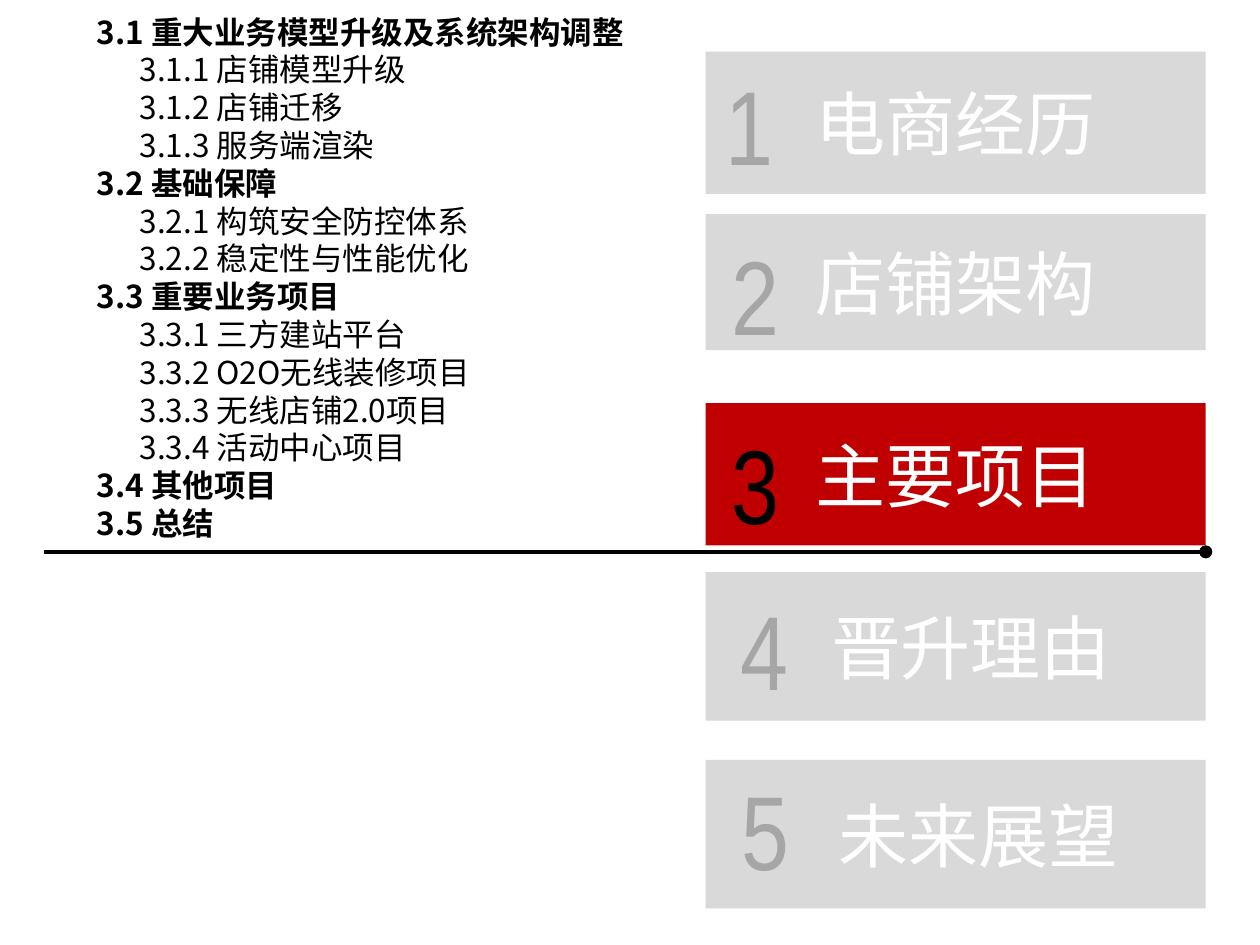
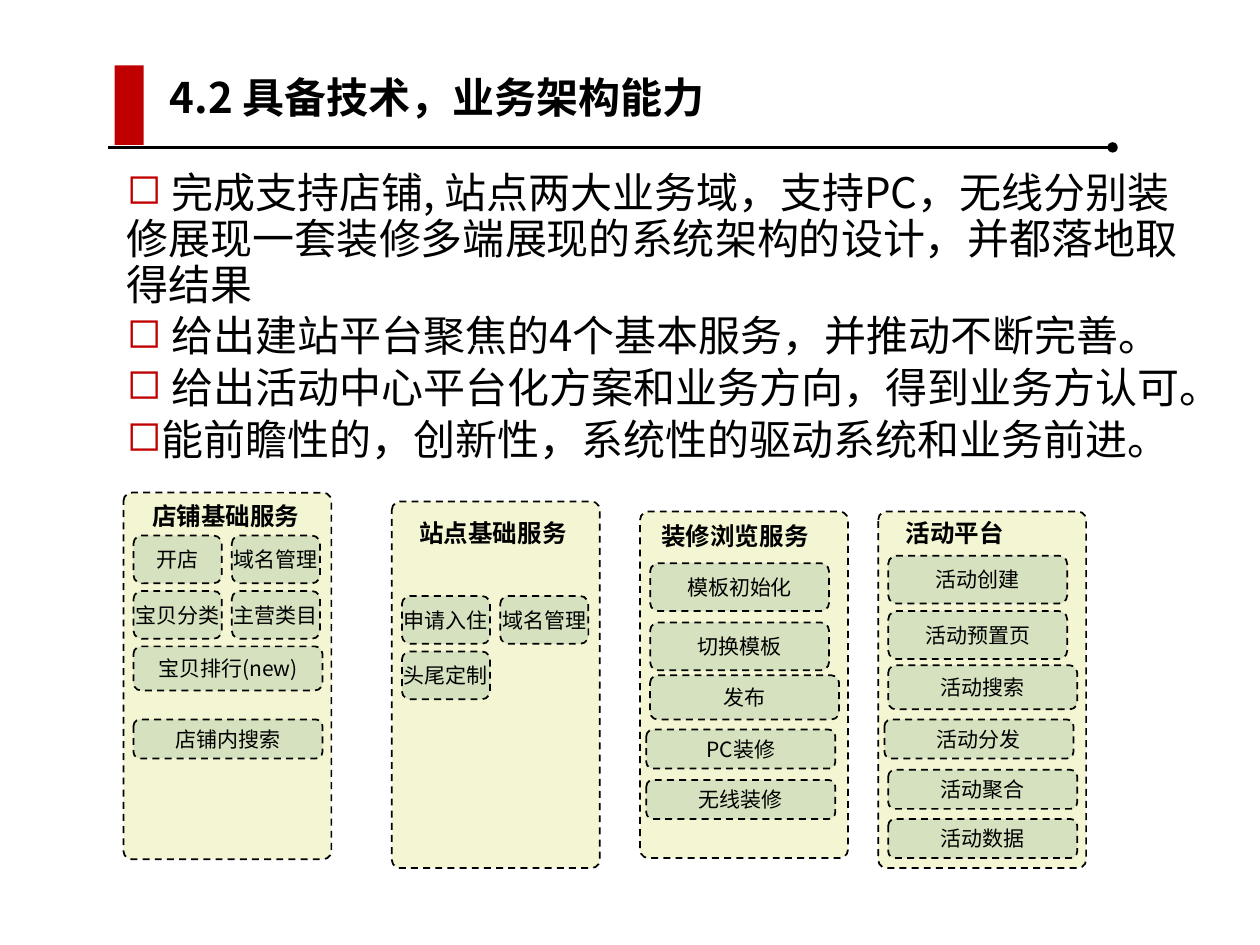
from dataclasses import dataclass

from lxml import etree
from pptx import Presentation
from pptx.dml.color import RGBColor
from pptx.enum.dml import MSO_LINE
from pptx.enum.shapes import MSO_CONNECTOR, MSO_SHAPE
from pptx.enum.text import MSO_ANCHOR, PP_ALIGN
from pptx.oxml.ns import qn
from pptx.util import Inches, Pt

RECT, ROUNDED = MSO_SHAPE.RECTANGLE, MSO_SHAPE.ROUNDED_RECTANGLE
STRAIGHT, DASH = MSO_CONNECTOR.STRAIGHT, MSO_LINE.DASH
TOP, MIDDLE = MSO_ANCHOR.TOP, MSO_ANCHOR.MIDDLE
LEFT, CENTER = PP_ALIGN.LEFT, PP_ALIGN.CENTER

BLACK = RGBColor(0x00, 0x00, 0x00)
WHITE = RGBColor(0xFF, 0xFF, 0xFF)
RED = RGBColor(0xC0, 0x00, 0x00)
PALE_GREY = RGBColor(0xD9, 0xD9, 0xD9)
MID_GREY = RGBColor(0xA6, 0xA6, 0xA6)
CREAM = RGBColor(0xF4, 0xF5, 0xD2)
SAGE = RGBColor(0xD6, 0xE1, 0xBF)

CJK, CARD_FONT, NUMBER_FONT = "Noto Sans CJK SC", "Calibri", "Arial Narrow"
SLIDE_W, SLIDE_H = Inches(10), Inches(7.5)
COLUMN, ROW = SLIDE_W / 100, SLIDE_H / 75
LINE_RATIO = 1.2


@dataclass
class Box:
    """A region measured in grid columns and rows."""
    x: float
    y: float
    w: float
    h: float

    def within(self, dx, dy, w, h):
        """Return a box placed relative to this one."""
        return Box(self.x + dx, self.y + dy, w, h)

    def emu(self):
        """Return left, top, width and height in slide units."""
        return (int(self.x * COLUMN), int(self.y * ROW),
                int(self.w * COLUMN), int(self.h * ROW))


def style(paragraph, size, color, font=CJK, bold=False, align=LEFT):
    """Set the type of one paragraph."""
    paragraph.alignment = align
    face = paragraph.font
    face.name, face.size, face.bold = font, Pt(size), bold
    face.color.rgb = color
    if font == CJK:
        paragraph.line_spacing = Pt(size * LINE_RATIO)
        latin = paragraph._p.pPr.find(qn("a:defRPr")).find(qn("a:latin"))
        east_asian = etree.Element(qn("a:ea"), typeface=font)
        latin.addnext(east_asian)


def add_text(slide, box, lines, anchor=TOP):
    """Add a wrapping text box and return its paragraphs."""
    frame = slide.shapes.add_textbox(*box.emu()).text_frame
    frame.word_wrap, frame.vertical_anchor = True, anchor
    frame.text = "\n".join(lines)
    return frame.paragraphs


def add_block(slide, box, fill, kind=RECT):
    """Add a filled shape without outline or shadow."""
    block = slide.shapes.add_shape(kind, *box.emu())
    block.shadow.inherit = False
    block.fill.solid()
    block.fill.fore_color.rgb = fill
    block.line.fill.background()
    return block


def add_dashed(slide, box, fill, corner):
    """Add a rounded block with a dashed outline."""
    block = add_block(slide, box, fill, ROUNDED)
    block.adjustments[0] = corner
    block.line.color.rgb, block.line.width = BLACK, Pt(1)
    block.line.dash_style = DASH
    return block


def add_rule(slide, box, weight):
    """Draw a black rule along the top of a box, ending in a dot."""
    x, y, w, _ = box.emu()
    rule = slide.shapes.add_connector(STRAIGHT, x, y, x + w, y)
    rule.line.color.rgb, rule.line.width = BLACK, Pt(weight)
    etree.SubElement(rule.line._get_or_add_ln(), qn("a:tailEnd"), type="oval")
    etree.SubElement(rule._element.spPr, qn("a:effectLst"))


def outline(slide, box, sections):
    """List bold sections with their indented topics."""
    rows = [(text, depth) for heading, topics in sections
            for text, depth in [(heading, 0)] + [(t, 1) for t in topics]]
    paragraphs = add_text(slide, box, [text for text, _ in rows])
    for paragraph, (_, depth) in zip(paragraphs, rows):
        style(paragraph, 18, BLACK, bold=depth == 0)
        paragraph._p.pPr.set("marL", str(int(depth * 3.4 * COLUMN)))


def chapter_card(slide, box, number, label, digit_at, shift, active):
    """Show one numbered chapter, in red when it is the active one."""
    card = add_block(slide, box, RED if active else PALE_GREY)
    frame = card.text_frame
    frame.vertical_anchor, frame.text = MIDDLE, label
    frame.margin_left = int((1 + 2 * shift) * COLUMN)
    style(frame.paragraphs[0], 40, WHITE, CARD_FONT, align=CENTER)
    digit = add_text(slide, box.within(*digit_at, 6.8, 11.1), [str(number)])
    style(digit[0], 60, BLACK if active else MID_GREY, NUMBER_FONT)


def title_band(slide, box, title):
    """Place the red marker, the title and the rule below them."""
    add_rule(slide, box.within(0, 6.5, 79.7, 0), 1.75)
    add_block(slide, box.within(0.5, 0, 2.3, 6.3), RED)
    style(add_text(slide, box.within(3.9, 0, 80, 5), [title])[0], 24, BLACK, bold=True)


def bullet_list(slide, box, points):
    """List points behind hollow red squares."""
    for paragraph in add_text(slide, box, points):
        props = paragraph._p.get_or_add_pPr()
        props.set("marL", "0")
        props.set("indent", str(int(-2.9 * COLUMN)))
        tint = etree.SubElement(props, qn("a:buClr"))
        etree.SubElement(tint, qn("a:srgbClr"), val=str(RED))
        etree.SubElement(props, qn("a:buChar"), char="◻")
        style(paragraph, 24, BLACK)
        paragraph.line_spacing = Pt(24 * LINE_RATIO * 0.91)
        paragraph.space_after = Pt(3.3)


def service_panel(slide, box, heading, heading_at, tiles):
    """Show a service group with its heading and tiles."""
    add_dashed(slide, box, CREAM, 0.04)
    title = add_text(slide, box.within(*heading_at, 15.5, 3.4), [heading], MIDDLE)
    style(title[0], 14, BLACK, bold=True)
    for label, dx, dy, size in tiles:
        frame = add_dashed(slide, box.within(dx, dy, *size), SAGE, 0.17).text_frame
        frame.word_wrap, frame.vertical_anchor = False, MIDDLE
        frame.text = label
        style(frame.paragraphs[0], 12, BLACK, align=CENTER)


def agenda_slide(slide):
    """Build the agenda with the third chapter opened."""
    outline(slide, Box(6.7, 0.5, 47.2, 48.8), SECTIONS)
    for number, (label, y, h, digit_at, shift) in enumerate(CHAPTERS, 1):
        chapter_card(slide, Box(56, y, 39.7, h), number, label,
                     digit_at, shift, number == 3)
    add_rule(slide, Box(3.5, 43.8, 92.2, 0), 2.5)


def ability_slide(slide):
    """Build the slide on technical and business architecture."""
    title_band(slide, Box(8.6, 5.2, 84, 6.5), "4.2 具备技术，业务架构能力")
    bullet_list(slide, Box(9.1, 13.1, 86.6, 24.6), POINTS)
    for heading, x, y, h, heading_at, tiles in SERVICES:
        service_panel(slide, Box(x, y, 16.5, h), heading, heading_at, tiles)


SECTIONS = [
    ("3.1 重大业务模型升级及系统架构调整",
     ["3.1.1 店铺模型升级", "3.1.2 店铺迁移", "3.1.3 服务端渲染"]),
    ("3.2 基础保障", ["3.2.1 构筑安全防控体系", "3.2.2 稳定性与性能优化"]),
    ("3.3 重要业务项目",
     ["3.3.1 三方建站平台", "3.3.2 O2O无线装修项目",
      "3.3.3 无线店铺2.0项目", "3.3.4 活动中心项目"]),
    ("3.4 其他项目", []),
    ("3.5 总结", []),
]

CHAPTERS = [
    ("电商经历", 4.1, 11.3, (0.6, 0.2), 0),
    ("店铺架构", 17, 10.8, (1.1, 0.8), 0),
    ("主要项目", 32, 11.3, (1.1, 0.8), 0),
    ("晋升理由", 45.4, 11.8, (1.8, 0.6), 1.2),
    ("未来展望", 60.3, 11.8, (1.9, 0), 1.8),
]

POINTS = [
    " 完成支持店铺, 站点两大业务域，支持PC，无线分别装修展现一套装修多端展现的系统架构的设计，并都落地取得结果",
    " 给出建站平台聚焦的4个基本服务，并推动不断完善。",
    " 给出活动中心平台化方案和业务方向，得到业务方认可。",
    "能前瞻性的，创新性，系统性的驱动系统和业务前进。",
]

SMALL, WIDE, BAR, SLIM = (7, 3.8), (14.2, 3.8), (15, 3.5), (15, 3.1)
NEAR, INNER, SECOND = 0.5, 0.8, 8.6

SERVICES = [
    ("店铺基础服务", 9.8, 39.1, 29.1, (1.3, 0.1), [
        ("开店", INNER, 3.4, SMALL), ("域名管理", SECOND, 3.4, SMALL),
        ("宝贝分类", INNER, 7.8, SMALL), ("主营类目", SECOND, 7.8, SMALL),
        ("宝贝排行(new)", INNER, 12.2, BAR), ("店铺内搜索", INNER, 18, SLIM)]),
    ("站点基础服务", 31.1, 39.8, 29.1, (1.2, 0.8), [
        ("申请入住", INNER, 7.5, SMALL), ("域名管理", SECOND, 7.5, SMALL),
        ("头尾定制", INNER, 11.9, SMALL)]),
    ("装修浏览服务", 50.8, 40.6, 27.5, (0.7, 0.2), [
        ("模板初始化", INNER, 4.1, WIDE), ("切换模板", INNER, 8.8, WIDE),
        ("发布", INNER, 13, BAR), ("PC装修", NEAR, 17.3, SLIM),
        ("无线装修", NEAR, 21.3, SLIM)]),
    ("活动平台", 69.7, 40.6, 28.3, (1.2, 0), [
        ("活动创建", INNER, 3.5, WIDE), ("活动预置页", INNER, 7.9, WIDE),
        ("活动搜索", INNER, 12.2, BAR), ("活动分发", NEAR, 16.5, SLIM),
        ("活动聚合", INNER, 20.5, SLIM), ("活动数据", INNER, 24.4, SLIM)]),
]

deck = Presentation()
deck.slide_width, deck.slide_height = SLIDE_W, SLIDE_H
for build in (agenda_slide, ability_slide):
    build(deck.slides.add_slide(deck.slide_layouts[6]))
deck.save("out.pptx")
